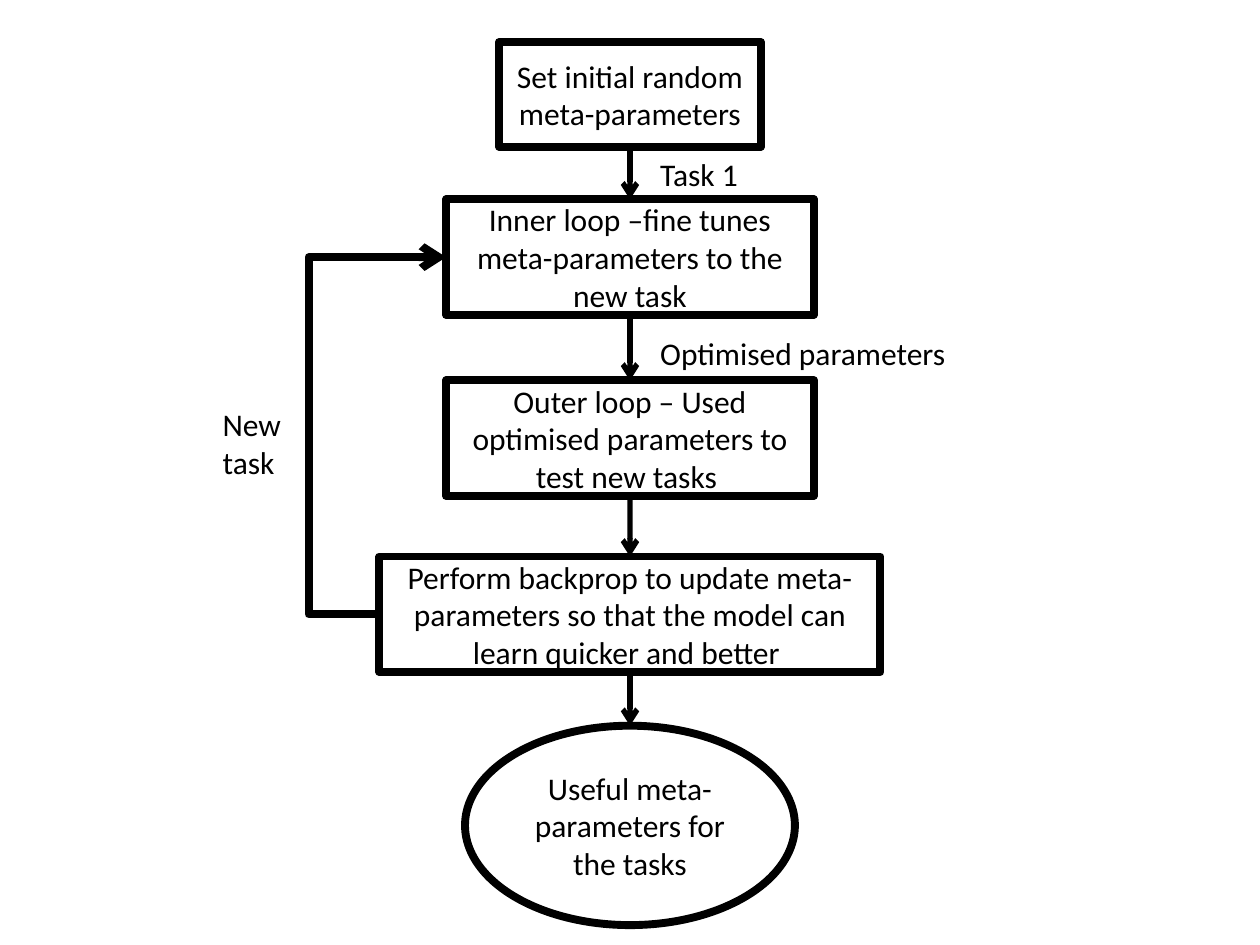
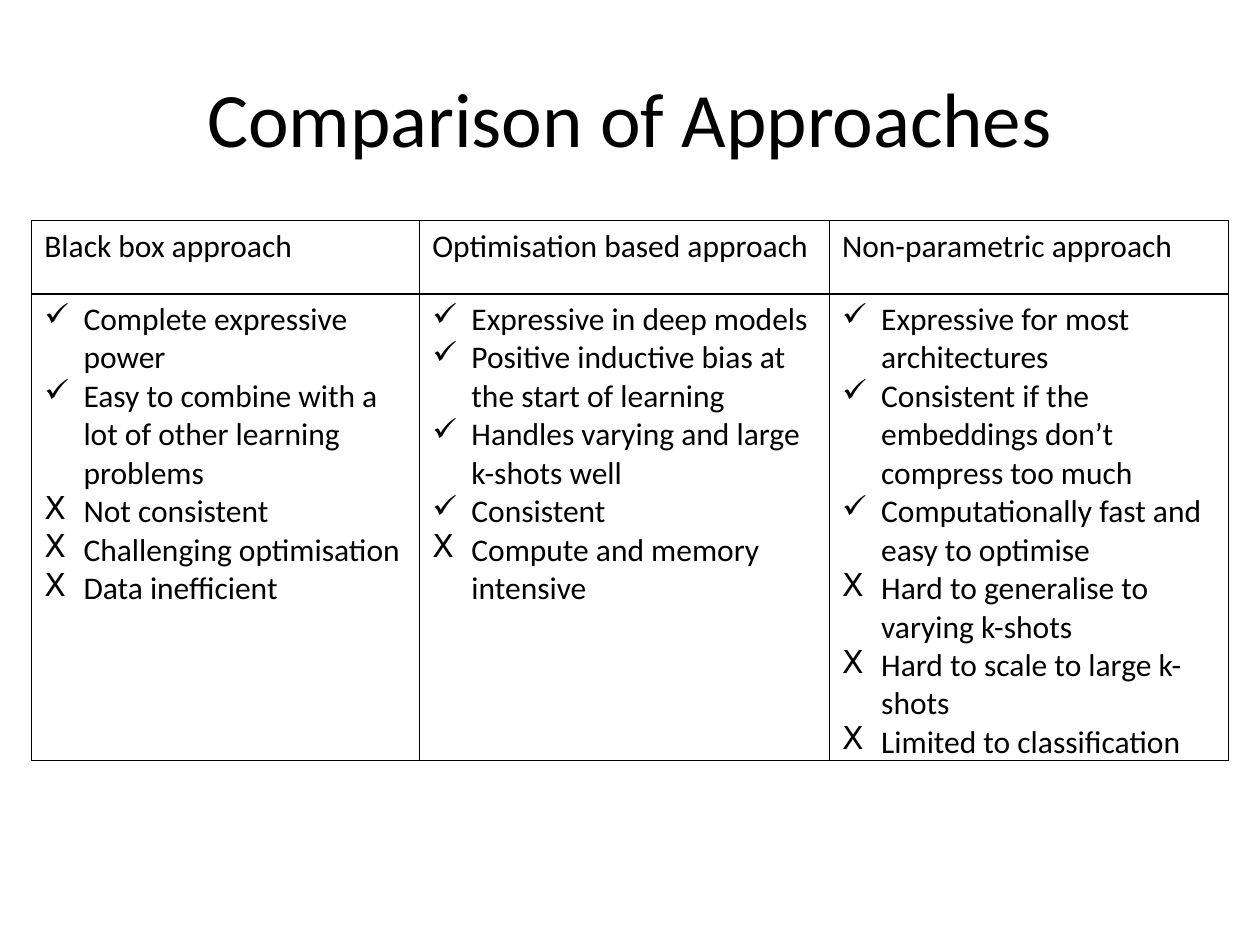
import pptx
import pptx.dml.color
import pptx.enum.shapes
import pptx.enum.text
import pptx.oxml
import pptx.oxml.ns
import pptx.util

Cm = pptx.util.Cm
Pt = pptx.util.Pt
SHAPE = pptx.enum.shapes.MSO_SHAPE
CONNECTOR = pptx.enum.shapes.MSO_CONNECTOR
ALIGN = pptx.enum.text.PP_ALIGN
ANCHOR = pptx.enum.text.MSO_ANCHOR

FONT = "Calibri"
INK = "000000"
PAPER = "FFFFFF"
BODY_SIZE = 18
TITLE_SIZE = 44
HEAVY = 4.5
MIDDLE = 12.7
LOOP_X = 6.22
INDENT = 0.79
PRO, CON = "✓", "ꓫ"

STEPS = [
    ("Set initial random meta-parameters", SHAPE.RECTANGLE, 0.85, 5.28, 2.11),
    ("Inner loop –fine tunes meta-parameters to the new task", SHAPE.RECTANGLE, 4.02, 7.41, 2.33),
    ("Outer loop – Used optimised parameters to test new tasks ", SHAPE.RECTANGLE, 7.67, 7.41, 2.33),
    ("Perform backprop to update meta-parameters so that the model can learn quicker and better ",
     SHAPE.RECTANGLE, 11.22, 10.1, 2.33),
    ("Useful meta-parameters for the tasks", SHAPE.OVAL, 14.63, 6.65, 4.02),
]

LABELS = [
    ("Task 1", 13.06, 3.0, 2.97, 1.02),
    ("Optimised parameters", 13.06, 6.6, 6.55, 1.02),
    ("New task", 4.24, 8.05, 1.9, 1.8),
]

APPROACHES = [
    ("Black box approach", 7.82,
     ["Complete expressive power", "Easy to combine with a lot of other learning problems"],
     ["Not consistent", "Challenging optimisation", "Data inefficient"]),
    ("Optimisation based approach", 8.26,
     ["Expressive in deep models", "Positive inductive bias at the start of learning",
      "Handles varying and large k-shots well", "Consistent"],
     ["Compute and memory intensive"]),
    ("Non-parametric approach", 8.05,
     ["Expressive for most architectures", "Consistent if the embeddings don’t compress too much",
      "Computationally fast and easy to optimise"],
     ["Hard to generalise to varying k-shots", "Hard to scale to large k-shots",
      "Limited to classification"]),
]


def paint(color_format, color):
    """Give a colour format a hex colour."""
    color_format.rgb = pptx.dml.color.RGBColor.from_string(color)


def add_xml(parent, tag, **attributes):
    """Append a DrawingML element to a parent and return it."""
    element = pptx.oxml.parse_xml(f"<a:{tag} {pptx.oxml.ns.nsdecls('a')}/>")
    for name, value in attributes.items():
        element.set(name, str(value))
    parent.append(element)
    return element


def write(frame, text, size=BODY_SIZE, align=ALIGN.LEFT):
    """Fill a text frame and format every run in it."""
    frame.word_wrap = True
    frame.text = text
    for para in frame.paragraphs:
        para.alignment = align
        for span in para.runs:
            span.font.name = FONT
            span.font.size = Pt(size)
            paint(span.font.color, INK)


def add_text(page, text, left, top, width, height, size=BODY_SIZE, align=ALIGN.LEFT):
    """Add a text box."""
    box = page.shapes.add_textbox(Cm(left), Cm(top), Cm(width), Cm(height))
    write(box.text_frame, text, size, align)
    return box


def add_step(page, text, kind, top, width, height):
    """Add an outlined step centred on the flow axis."""
    step = page.shapes.add_shape(kind, Cm(MIDDLE - width / 2), Cm(top), Cm(width), Cm(height))
    step.shadow.inherit = False
    step.fill.solid()
    paint(step.fill.fore_color, PAPER)
    paint(step.line.color, INK)
    step.line.width = Pt(HEAVY)
    write(step.text_frame, text, align=ALIGN.CENTER)
    step.text_frame.vertical_anchor = ANCHOR.MIDDLE
    return step


def add_arrow(page, kind, start, end, weight):
    """Add a connector between two points with an arrowhead at its end."""
    arrow = page.shapes.add_connector(kind, *start, *end)
    paint(arrow.line.color, INK)
    arrow.line.width = Pt(weight)
    add_xml(arrow.line._get_or_add_ln(), "tailEnd", type="arrow")
    add_xml(arrow._element.spPr, "effectLst")
    return arrow


def join_down(page, upper, lower):
    """Join the bottom of one step to the top of the next."""
    axis = Cm(MIDDLE)
    arrow = add_arrow(page, CONNECTOR.STRAIGHT, (axis, upper.top + upper.height), (axis, lower.top), 3)
    arrow.begin_connect(upper, 2)
    arrow.end_connect(lower, 0)


def loop_back(page, source, target):
    """Lead from the left of one step round to the left of an earlier one."""
    start = source.left, source.top + source.height // 2
    end = target.left, target.top + target.height // 2
    arrow = add_arrow(page, CONNECTOR.ELBOW, start, end, HEAVY)
    bend = round((Cm(LOOP_X) - start[0]) / (end[0] - start[0]) * 100000)
    guides = arrow._element.spPr.find(pptx.oxml.ns.qn("a:prstGeom")).get_or_add_avLst()
    add_xml(guides, "gd", name="adj1", fmla=f"val {bend}")


def style_cell(cell, text):
    """Write a cell with thin borders and no fill."""
    write(cell.text_frame, text)
    properties = cell._tc.get_or_add_tcPr()
    for side in ("lnL", "lnR", "lnT", "lnB"):
        border = add_xml(properties, side, w=Pt(1))
        add_xml(add_xml(border, "solidFill"), "srgbClr", val=INK)
    cell.fill.background()


def add_bullet(para, mark):
    """Give a paragraph a hanging bullet."""
    properties = para._p.get_or_add_pPr()
    properties.set("marL", str(Cm(INDENT)))
    properties.set("indent", str(-Cm(INDENT)))
    add_xml(properties, "buChar", char=mark)


def add_comparison(page, left, top, heights):
    """Add the table of approaches with their pros and cons."""
    width = sum(approach[1] for approach in APPROACHES)
    table = page.shapes.add_table(2, len(APPROACHES), Cm(left), Cm(top), Cm(width), Cm(sum(heights))).table
    table.first_row = False
    table.horz_banding = False
    for row, height in zip(table.rows, heights):
        row.height = Cm(height)
    for index, (name, column_width, pros, cons) in enumerate(APPROACHES):
        table.columns[index].width = Cm(column_width)
        style_cell(table.cell(0, index), name)
        body = table.cell(1, index)
        style_cell(body, "\n".join(pros + cons))
        marks = [PRO] * len(pros) + [CON] * len(cons)
        for para, mark in zip(body.text_frame.paragraphs, marks):
            add_bullet(para, mark)


def build_flow(page):
    """Draw the meta-learning flow chart."""
    steps = [add_step(page, *step) for step in STEPS]
    for upper, lower in zip(steps, steps[1:]):
        join_down(page, upper, lower)
    loop_back(page, steps[3], steps[1])
    for label in LABELS:
        add_text(page, *label)


def build_comparison(page):
    """Draw the title and the comparison table."""
    title = add_text(page, "Comparison of Approaches", 1.27, 0.76, 22.86, 3.18, TITLE_SIZE, ALIGN.CENTER)
    title.text_frame.vertical_anchor = ANCHOR.MIDDLE
    add_comparison(page, 0.64, 4.45, (1.48, 9.4))


def main():
    """Build and save the deck."""
    deck = pptx.Presentation()
    deck.slide_width = Cm(25.4)
    deck.slide_height = Cm(19.05)
    for build in (build_flow, build_comparison):
        build(deck.slides.add_slide(deck.slide_layouts[6]))
    deck.save("out.pptx")


if __name__ == "__main__":
    main()
